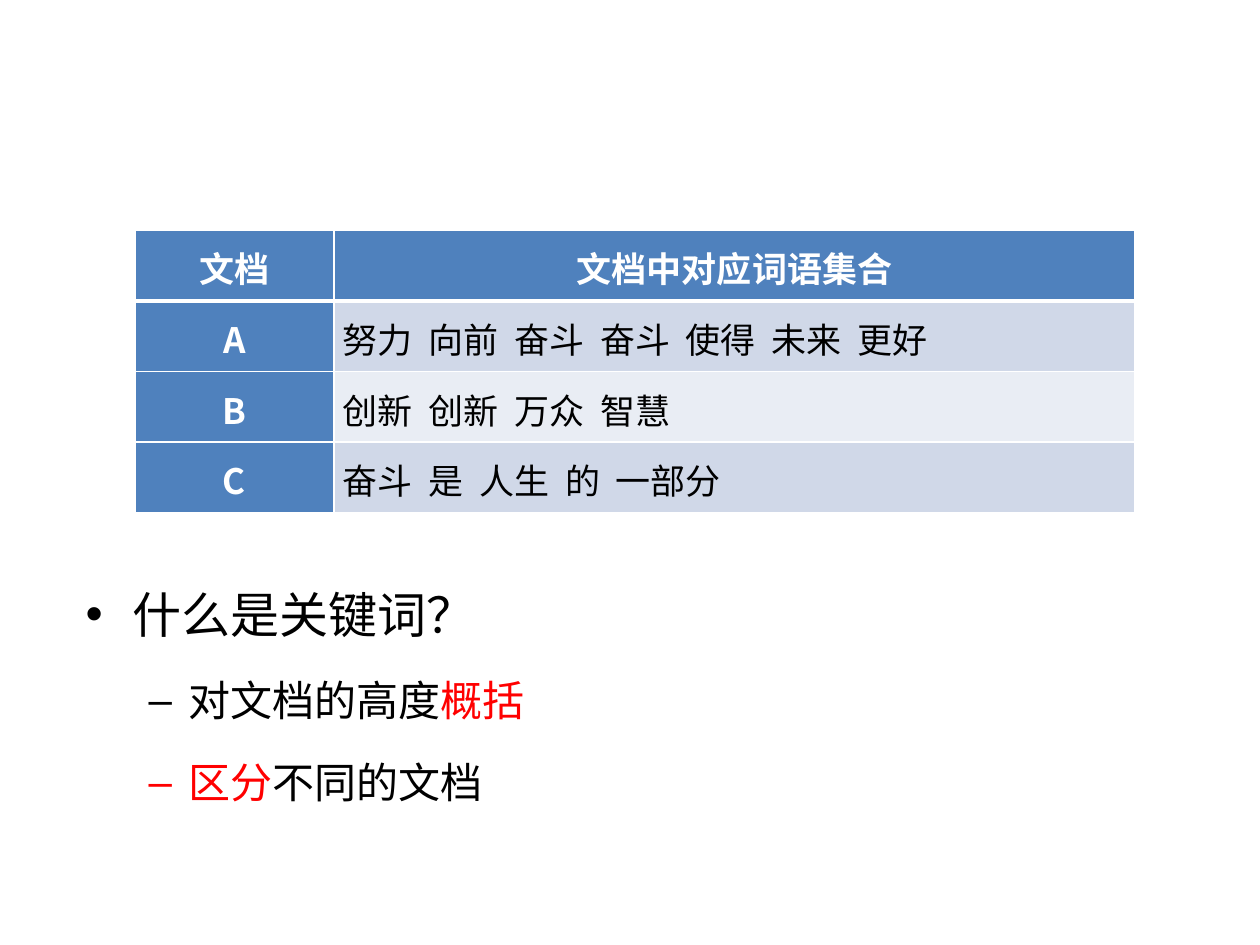
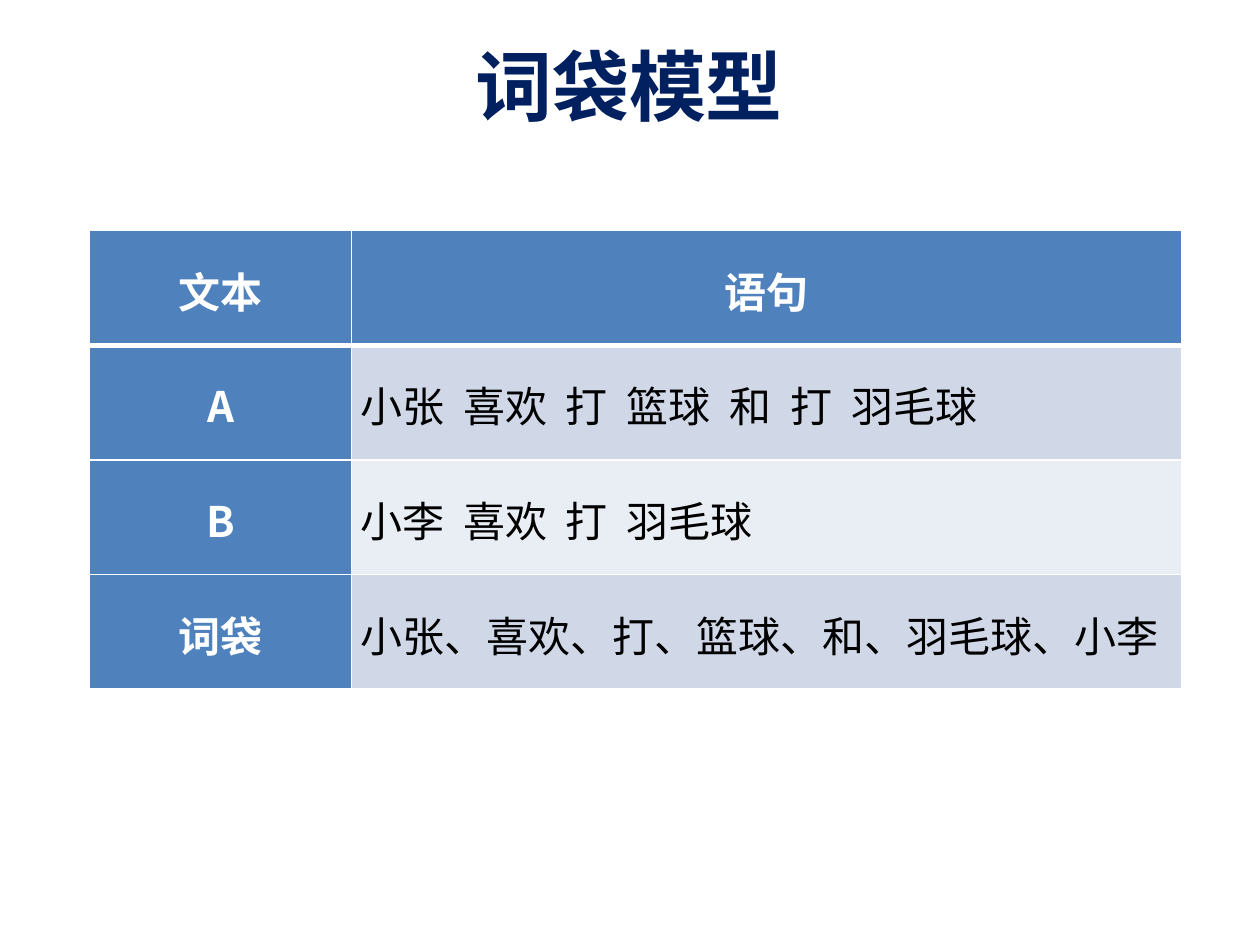
import pptx
import pptx.util
import pptx.dml.color
import pptx.enum.lang
import pptx.enum.text
import pptx.oxml
import pptx.oxml.ns

Inches = pptx.util.Inches
Pt = pptx.util.Pt
PP_ALIGN = pptx.enum.text.PP_ALIGN
ANCHOR = pptx.enum.text.MSO_ANCHOR

COLORS = {
    "header": "4F81BD",
    "band_dark": "D0D8E8",
    "band_light": "E9EDF4",
    "white": "FFFFFF",
    "black": "000000",
    "title": "002060",
    "accent": "FF0000",
}
FONT = "Noto Sans CJK SC"
TITLE_FONT = "Calibri"
WORD_GAP = "  "
TABLE_TOP = 1.83
LIST_SIZES = (28, 24)


def rgb(name):
    return pptx.dml.color.RGBColor.from_string(COLORS[name])


def words(text):
    return WORD_GAP.join(text.split())


def place(sp, left, top, width, height):
    sp.left, sp.top = Inches(left), Inches(top)
    sp.width, sp.height = Inches(width), Inches(height)


def set_chinese_face(p):
    p.font.name = FONT
    for r in p.runs:
        r.font.language_id = pptx.enum.lang.MSO_LANGUAGE_ID.SIMPLIFIED_CHINESE
        ea = pptx.oxml.parse_xml(
            f'<a:ea {pptx.oxml.ns.nsdecls("a")} typeface="{FONT}"/>')
        r._r.get_or_add_rPr().append(ea)


def set_borders(cell, **widths):
    tcPr = cell._tc.get_or_add_tcPr()
    for side, width in widths.items():
        tcPr.append(pptx.oxml.parse_xml(
            f'<a:ln{side} {pptx.oxml.ns.nsdecls("a")} w="{Pt(width)}">'
            f'<a:solidFill><a:srgbClr val="{COLORS["white"]}"/></a:solidFill>'
            f'</a:ln{side}>'))


def fill_cell(cell, text, size, row, col):
    heading = row == 0 or col == 0
    if row == 0:
        set_borders(cell, L=1, R=1, T=1, B=3)
    band = "band_dark" if row % 2 else "band_light"
    cell.fill.solid()
    cell.fill.fore_color.rgb = rgb("header" if heading else band)
    cell.vertical_anchor = ANCHOR.MIDDLE
    cell.margin_left = cell.margin_right = Inches(0.07)
    cell.margin_top = cell.margin_bottom = 0
    p = cell.text_frame.paragraphs[0]
    p.text = text
    p.alignment = PP_ALIGN.CENTER if heading else PP_ALIGN.LEFT
    p.line_spacing = 1.07
    p.font.size = Pt(size)
    p.font.bold = heading
    p.font.color.rgb = rgb("white" if heading else "black")
    set_chinese_face(p)


def add_word_table(slide, rows, left, col_widths, row_height, size):
    table = slide.shapes.add_table(
        len(rows), len(col_widths), Inches(left), Inches(TABLE_TOP),
        Inches(sum(col_widths)), Inches(row_height * len(rows))).table
    table.first_col = True
    for column, width in zip(table.columns, col_widths):
        column.width = Inches(width)
    for i, texts in enumerate(rows):
        table.rows[i].height = Inches(row_height)
        for j, text in enumerate(texts):
            fill_cell(table.cell(i, j), text, size, i, j)


def fill_list(sp, items):
    tf = sp.text_frame
    tf.word_wrap = True
    tf.vertical_anchor = ANCHOR.TOP
    for i, (level, runs) in enumerate(items):
        p = tf.add_paragraph() if i else tf.paragraphs[0]
        size = LIST_SIZES[level]
        p.level = level
        p.line_spacing = Pt(42)
        p.space_before = Pt(size * 0.2)
        p.font.size = Pt(size)
        for text, color in runs:
            r = p.add_run()
            r.text = text
            r.font.color.rgb = rgb(color)
        set_chinese_face(p)


def set_title(slide, text):
    sp = slide.shapes.title
    place(sp, 3.67, 0.17, 5.67, 1)
    tf = sp.text_frame
    tf.vertical_anchor = ANCHOR.MIDDLE
    p = tf.paragraphs[0]
    p.text = text
    p.alignment = PP_ALIGN.LEFT
    p.font.name = TITLE_FONT
    p.font.size = Pt(44)
    p.font.bold = True
    p.font.color.rgb = rgb("title")


def add_keyword_slide(prs):
    slide = prs.slides.add_slide(prs.slide_layouts.get_by_name("Title and Content"))
    title = slide.shapes.title
    title.element.getparent().remove(title.element)
    body = slide.placeholders[1]
    place(body, 0.58, 4.47, 8.92, 2.28)
    fill_list(body, [
        (0, [("什么是关键词？", "black")]),
        (1, [("对文档的高度", "black"), ("概括", "accent")]),
        (1, [("区分", "accent"), ("不同的文档", "black")]),
    ])
    add_word_table(slide, [
        ("文档", "文档中对应词语集合"),
        ("A", words("努力 向前 奋斗 奋斗 使得 未来 更好")),
        ("B", words("创新 创新 万众 智慧")),
        ("C", words("奋斗 是 人生 的 一部分")),
    ], left=1.07, col_widths=(1.58, 6.36), row_height=0.56, size=20)


def add_bag_of_words_slide(prs):
    slide = prs.slides.add_slide(prs.slide_layouts.get_by_name("Title Only"))
    set_title(slide, "词袋模型")
    add_word_table(slide, [
        ("文本", "语句"),
        ("A", words("小张 喜欢 打 篮球 和 打 羽毛球")),
        ("B", words("小李 喜欢 打 羽毛球")),
        ("词袋", "小张、喜欢、打、篮球、和、羽毛球、小李"),
    ], left=0.71, col_widths=(2.08, 6.59), row_height=0.91, size=24)


def main():
    prs = pptx.Presentation()
    prs.slide_width, prs.slide_height = Inches(10), Inches(7.5)
    add_keyword_slide(prs)
    add_bag_of_words_slide(prs)
    prs.save("out.pptx")


if __name__ == "__main__":
    main()
